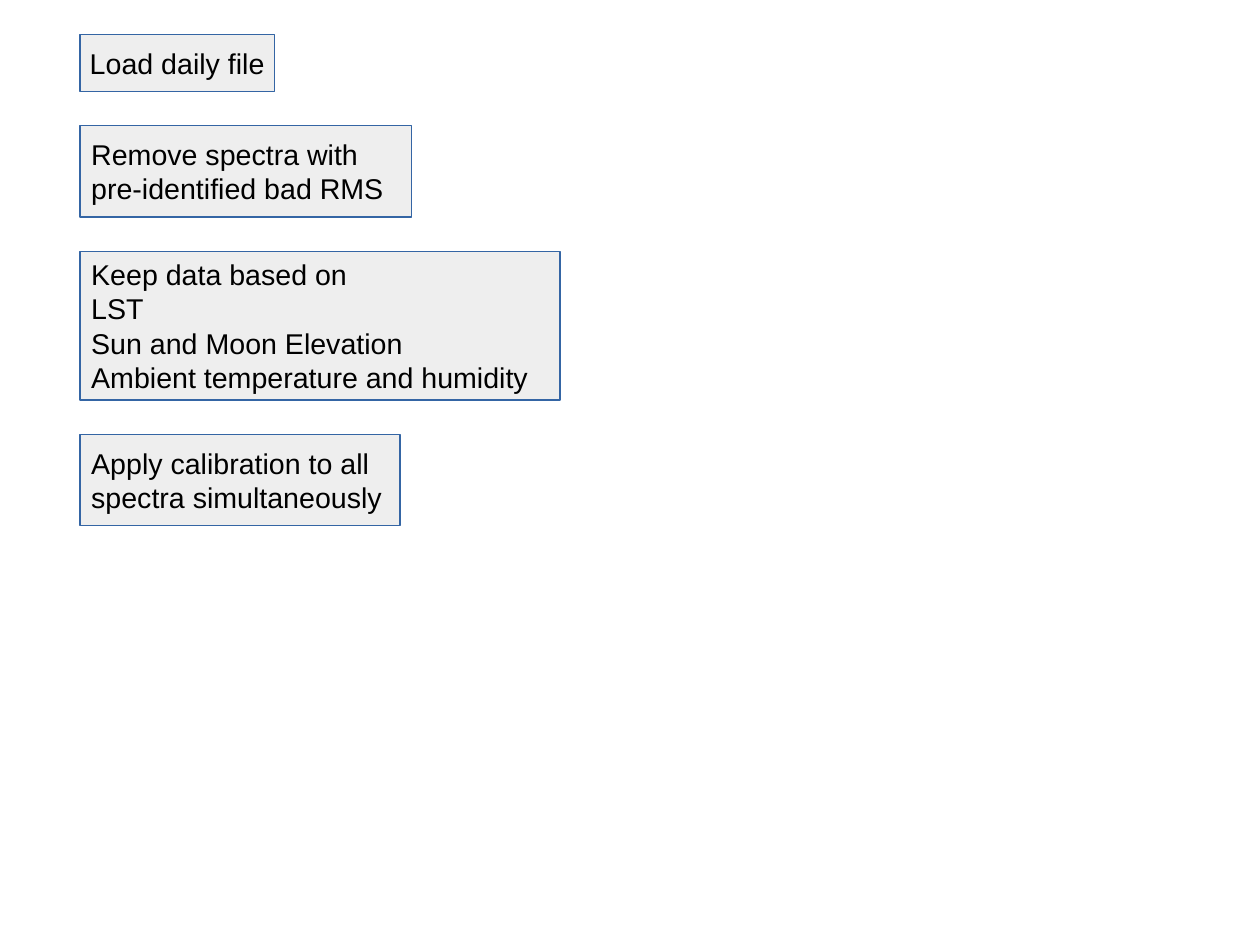
from dataclasses import dataclass

from pptx import Presentation
from pptx import util as u
from pptx.dml import color
from pptx.enum import shapes, text

COLOURS = {"fill": "EEEEEE", "line": "3465A4", "text": "000000"}
CELL = 0.1  # inches per grid column and row
LEFT, TOP, GAP = 7, 3, 3  # grid cells
LINE_WIDTH = 0  # hairline


@dataclass(frozen=True)
class Step:
    lines: tuple[str, ...]
    columns: int
    rows: int
    centred: bool = False


STEPS = (
    Step(("Load daily file",), 17, 5, centred=True),
    Step(("Remove spectra with", "pre-identified bad RMS"), 29, 8),
    Step(("Keep data based on", "LST", "Sun and Moon Elevation",
          "Ambient temperature and humidity"), 42, 13),
    Step(("Apply calibration to all", "spectra simultaneously"), 28, 8),
)


def cells(count: int) -> u.Length:
    return u.Inches(count * CELL)


def rgb(name: str) -> color.RGBColor:
    return color.RGBColor.from_string(COLOURS[name])


def add_line(para, line: str, *, size: int, font: str, colour: str, align) -> None:
    para.alignment = align
    span = para.add_run()
    span.text = line
    span.font.size = u.Pt(size)
    span.font.name = font
    span.font.color.rgb = rgb(colour)


def draw_step(page, step: Step, row: int) -> None:
    box = page.shapes.add_shape(
        shapes.MSO_SHAPE.RECTANGLE,
        cells(LEFT), cells(row), cells(step.columns), cells(step.rows))
    box.shadow.inherit = False
    box.fill.solid()
    box.fill.fore_color.rgb = rgb("fill")
    box.line.color.rgb = rgb("line")
    box.line.width = u.Pt(LINE_WIDTH)

    frame = box.text_frame
    frame.word_wrap = not step.centred
    frame.vertical_anchor = text.MSO_ANCHOR.MIDDLE
    align = text.PP_ALIGN.CENTER if step.centred else text.PP_ALIGN.LEFT
    for index, line in enumerate(step.lines):
        para = frame.add_paragraph() if index else frame.paragraphs[0]
        add_line(para, line, size=18, font="Arial", colour="text", align=align)


def main() -> None:
    # Slide
    deck = Presentation()
    deck.slide_width, deck.slide_height = u.Cm(28), u.Cm(21)
    page = deck.slides.add_slide(deck.slide_layouts[6])

    # Processing steps, stacked with equal gaps
    row = TOP
    for step in STEPS:
        draw_step(page, step, row)
        row += step.rows + GAP

    deck.save("out.pptx")


if __name__ == "__main__":
    main()
